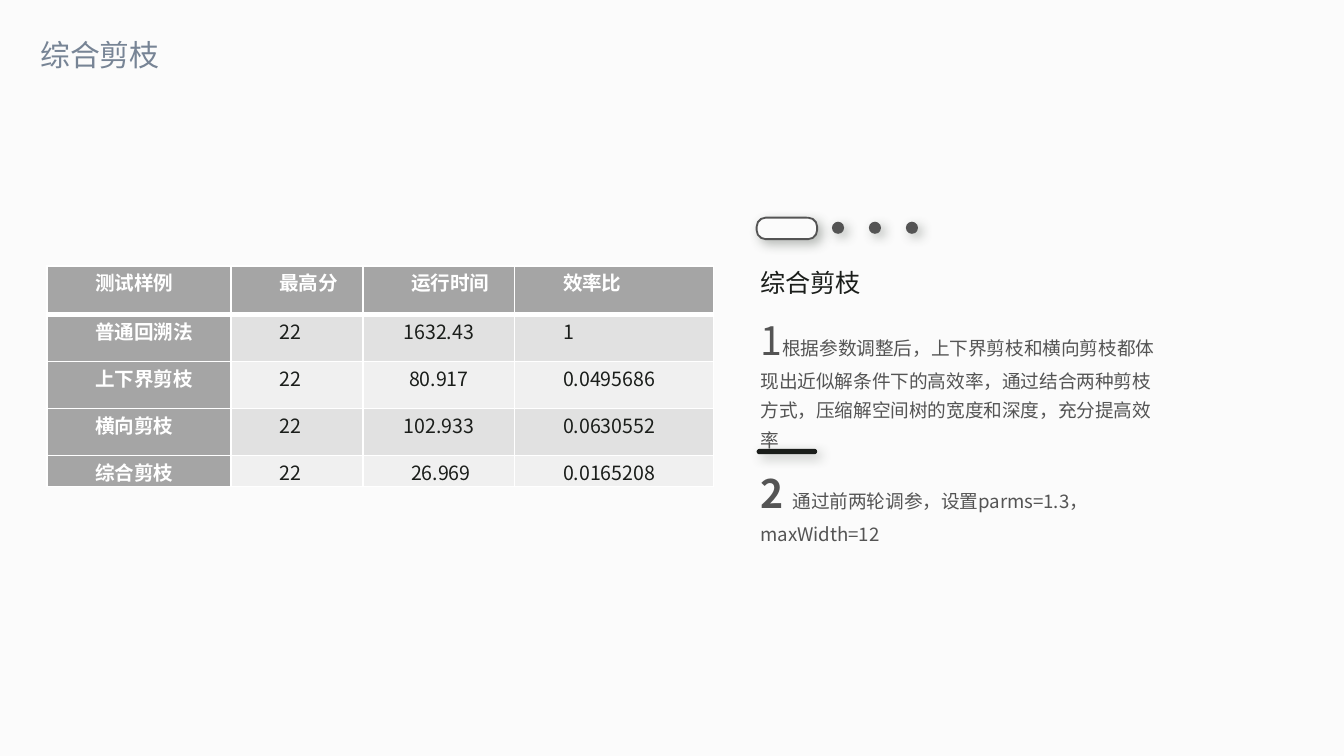
from dataclasses import dataclass

from lxml.etree import SubElement
from pptx import Presentation
from pptx.dml.color import RGBColor
from pptx.enum.shapes import MSO_SHAPE
from pptx.enum.text import MSO_ANCHOR, MSO_AUTO_SIZE, PP_ALIGN
from pptx.oxml.ns import qn
from pptx.util import Inches, Pt


@dataclass(frozen=True)
class Theme:
    font: str = "Noto Sans CJK SC"
    paper: str = "FBFBFB"
    ink: str = "1A1D1A"
    grey: str = "545454"
    title: str = "778495"
    white: str = "FFFFFF"
    header: str = "A5A5A5"
    bands: tuple = ("E1E1E1", "F0F0F0")
    shadow: str = "505950"
    title_size: float = 16
    heading_size: float = 13.5
    number_size: float = 21
    body_size: float = 10
    table_size: float = 10.5


class SlideBuilder:
    def __init__(self, slide, theme):
        self.slide = slide
        self.theme = theme
        slide.background.fill.solid()
        slide.background.fill.fore_color.rgb = RGBColor.from_string(theme.paper)

    def style(self, span, size, color, bold=False):
        span.font.size = Pt(size)
        span.font.bold = bold
        span.font.color.rgb = RGBColor.from_string(color)
        span.font.name = self.theme.font
        SubElement(span.font._element, qn("a:ea"), typeface=self.theme.font)

    def title(self, text, left, top, width, height):
        box = self.slide.shapes.title
        box.left, box.top = Inches(left), Inches(top)
        box.width, box.height = Inches(width), Inches(height)
        frame = box.text_frame
        frame.text = text
        frame.margin_left = frame.margin_right = 0
        frame.margin_top = frame.margin_bottom = Inches(0.05)
        frame.vertical_anchor = MSO_ANCHOR.MIDDLE
        para = frame.paragraphs[0]
        para.alignment = PP_ALIGN.LEFT
        self.style(para.runs[0], self.theme.title_size, self.theme.title)

    def text(self, spans, left, top, width, height, wrap=True, spacing=1.0):
        box = self.slide.shapes.add_textbox(
            Inches(left), Inches(top), Inches(width), Inches(height))
        frame = box.text_frame
        frame.word_wrap = wrap
        frame.auto_size = MSO_AUTO_SIZE.SHAPE_TO_FIT_TEXT
        para = frame.paragraphs[0]
        para.line_spacing = spacing
        for text, size, color, bold in spans:
            span = para.add_run()
            span.text = text
            self.style(span, size, color, bold)

    def point(self, number, text, left, top, width, height, bold=False):
        theme = self.theme
        self.text([(number, theme.number_size, theme.grey, bold),
                   (text, theme.body_size, theme.grey, False)],
                  left, top, width, height, spacing=1.3)

    def shape(self, kind, left, top, width, height, fill, line=None, corner=None):
        shape = self.slide.shapes.add_shape(
            kind, Inches(left), Inches(top), Inches(width), Inches(height))
        if corner is not None:
            shape.adjustments[0] = corner
        shape.fill.solid()
        shape.fill.fore_color.rgb = RGBColor.from_string(fill)
        if line:
            shape.line.color.rgb = RGBColor.from_string(line)
            shape.line.width = Pt(1)
        else:
            shape.line.fill.background()
        shape.shadow.inherit = False
        effects = shape._element.spPr.find(qn("a:effectLst"))
        shadow = SubElement(effects, qn("a:outerShdw"), blurRad=str(Pt(6)),
                            dist=str(Pt(3)), dir="2700000", algn="tl", rotWithShape="0")
        color = SubElement(shadow, qn("a:srgbClr"), val=self.theme.shadow)
        SubElement(color, qn("a:alpha"), val="40000")

    def borders(self, cell, widths):
        properties = cell._tc.get_or_add_tcPr()
        for side, width in widths.items():
            line = SubElement(properties, qn(f"a:ln{side}"), w=str(Pt(width)))
            fill = SubElement(line, qn("a:solidFill"))
            SubElement(fill, qn("a:srgbClr"), val=self.theme.white)

    def cell(self, cell, text, row, column, centered):
        theme = self.theme
        is_header = row == 0 or column == 0
        self.borders(cell, {"L": 1, "R": 1, "T": 3 if row == 1 else 1,
                            "B": 3 if row == 0 else 1})
        cell.fill.solid()
        fill = theme.header if is_header else theme.bands[(row - 1) % 2]
        cell.fill.fore_color.rgb = RGBColor.from_string(fill)
        cell.margin_left = cell.margin_right = Inches(0.07)
        cell.margin_top = cell.margin_bottom = 0
        cell.text_frame.text = text
        para = cell.text_frame.paragraphs[0]
        para.line_spacing = 1.07
        para.space_after = Pt(8)
        if centered:
            para.alignment = PP_ALIGN.CENTER
        else:
            para._p.get_or_add_pPr().set("indent", str(Inches(0.29)))
        self.style(para.runs[0], theme.table_size,
                   theme.white if is_header else theme.ink, is_header)

    def table(self, rows, left, top, widths, heights, centered):
        table = self.slide.shapes.add_table(
            len(rows), len(widths), Inches(left), Inches(top),
            Inches(sum(widths)), Inches(sum(heights))).table
        for column, width in zip(table.columns, widths):
            column.width = Inches(width)
        for line, height in zip(table.rows, heights):
            line.height = Inches(height)
        for row, values in enumerate(rows):
            for column, text in enumerate(values):
                self.cell(table.cell(row, column), text, row, column,
                          (row, column) in centered)


def main():
    theme = Theme()
    deck = Presentation()
    deck.slide_width = Inches(10)
    deck.slide_height = deck.slide_width * 9 // 16
    page = SlideBuilder(deck.slides.add_slide(deck.slide_layouts[5]), theme)

    page.shape(MSO_SHAPE.ROUNDED_RECTANGLE, 5.63, 1.62, 0.45, 0.16,
               theme.paper, theme.grey, corner=0.42)
    for index in range(3):
        page.shape(MSO_SHAPE.OVAL, 6.19 + index * 0.275, 1.65, 0.09, 0.09, theme.grey)

    page.text([("综合剪枝", theme.heading_size, theme.ink, False)],
              5.56, 1.94, 0.96, 0.33, wrap=False)
    page.point("1", "根据参数调整后，上下界剪枝和横向剪枝都体现出近似解条件下的高效率，"
               "通过结合两种剪枝方式，压缩解空间树的宽度和深度，充分提高效率",
               5.56, 2.2, 3.18, 1.2)
    page.point("2 ", "通过前两轮调参，设置parms=1.3，maxWidth=12",
               5.56, 3.34, 3.17, 0.76, bold=True)
    page.shape(MSO_SHAPE.ROUNDED_RECTANGLE, 5.63, 3.34, 0.45, 0.04,
               theme.ink, corner=0.5)

    page.title("综合剪枝", 0.3, 0.2, 3.28, 0.41)

    results = [
        ("测试样例", "最高分", "运行时间", "效率比"),
        ("普通回溯法", "22", "1632.43", "1"),
        ("上下界剪枝", "22", "80.917", "0.0495686"),
        ("横向剪枝", "22", "102.933", "0.0630552"),
        ("综合剪枝", "22", "26.969", "0.0165208"),
    ]
    page.table(results, 0.35, 1.98, (1.37, 0.98, 1.13, 1.48),
               (0.36, 0.35, 0.35, 0.35, 0.23), centered={(1, 2), (2, 2), (3, 2)})
    deck.save("out.pptx")


if __name__ == "__main__":
    main()
